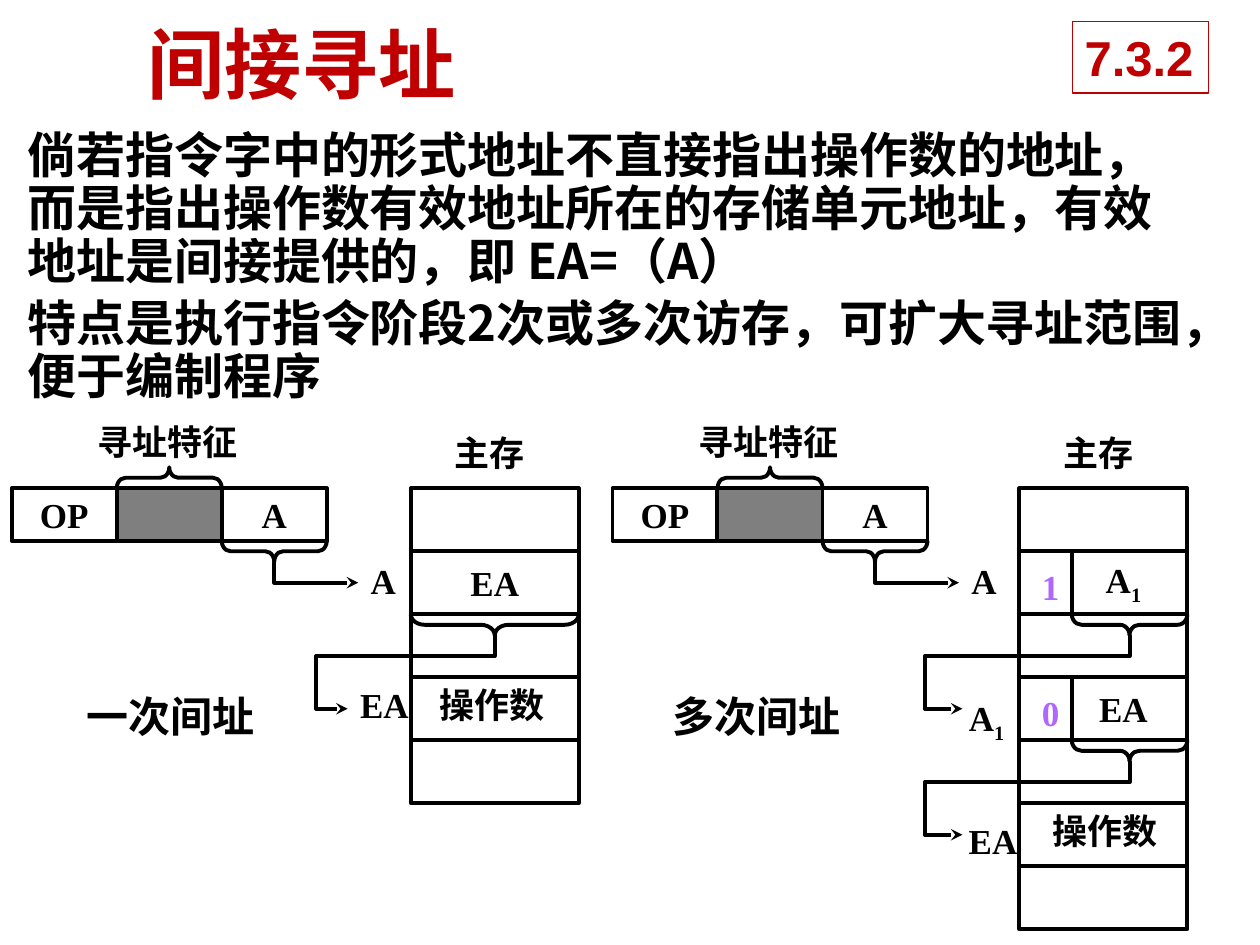
from lxml import etree
from pptx import Presentation
from pptx import util as u
from pptx.dml.color import RGBColor
from pptx.enum import shapes, text
from pptx.oxml.ns import qn

COLOURS = {"ink": "000000", "red": "C00000", "violet": "AF67FF", "white": "FFFFFF"}
SERIF, SANS, HAN = "Times New Roman", "Arial", "Noto Sans CJK SC"
TOP, FIELD_W, FIELD_H = 279, 60, 30      # instruction word
CELL_W, CELL_H, SPLIT = 96, 36, 30       # main memory
BRACE = 12


def colour(name):
    return RGBColor.from_string(COLOURS[name])


class Sketch:
    """Holds the style and the current slide; all lengths are points."""
    style = {"size": 20, "name": SERIF, "bold": True}

    def __init__(self, slide):
        self.shapes = slide.shapes

    def outline(self, shape, ink="ink", width=2.25):
        shape.line.color.rgb = colour(ink)
        shape.line.width = u.Pt(width)

    def fill_text(self, shape, lines, ink="ink", frame=None, para=None, **font):
        box = shape.text_frame
        for key, value in ({"word_wrap": False} | (frame or {})).items():
            setattr(box, key, value)
        look = self.style | font
        look["size"] = u.Pt(look["size"])
        for index, line in enumerate(lines):
            paragraph = box.add_paragraph() if index else box.paragraphs[0]
            for key, value in (para or {}).items():
                setattr(paragraph, key, value)
            # An underscore separates a base from its subscript
            for level, part in enumerate(line.split("_")):
                span = paragraph.add_run()
                span.text = part
                for key, value in look.items():
                    setattr(span.font, key, value)
                span.font.color.rgb = colour(ink)
                props = span._r.get_or_add_rPr()
                etree.SubElement(props, qn("a:ea"), typeface=HAN)
                if level:
                    props.set("baseline", "-25000")

    def label(self, x, y, w, line, size=20, ink="ink"):
        self.text(x, y, w, size * 1.2 + 7, [line], size=size, ink=ink)

    def text(self, x, y, w, h, lines, **options):
        box = self.shapes.add_textbox(*map(u.Pt, (x, y, w, h)))
        self.fill_text(box, lines, **options)

    def preset(self, kind, x, y, w, h, **line):
        shape = self.shapes.add_shape(kind, *map(u.Pt, (x, y, w, h)))
        shape.shadow.inherit = False
        shape.fill.background()
        self.outline(shape, **line)
        return shape

    def cell(self, x, y, w, h, line="", indent=7.2):
        shape = self.preset(shapes.MSO_SHAPE.RECTANGLE, x, y, w, h)
        if line:
            self.fill_text(shape, [line], para={"alignment": text.PP_ALIGN.CENTER},
                           frame={"vertical_anchor": text.MSO_ANCHOR.MIDDLE,
                                  "margin_left": u.Pt(indent), "word_wrap": True})
        return shape

    def brace(self, x, y, span, angle, curve=5):
        """Brace lying over a span; x and y are its top left as seen."""
        shape = self.preset(shapes.MSO_SHAPE.LEFT_BRACE, x + (span - BRACE) / 2,
                            y + (BRACE - span) / 2, BRACE, span)
        shape.rotation = angle
        shape.adjustments[0] = curve / BRACE

    def arrow(self, *points):
        first, *rest = [(u.Pt(x), u.Pt(y)) for x, y in points]
        builder = self.shapes.build_freeform(*first)
        builder.add_line_segments(rest, close=False)
        shape = builder.convert_to_shape()
        shape.shadow.inherit = False
        shape.fill.background()
        self.outline(shape)
        line = shape._element.spPr.find(qn("a:ln"))
        etree.SubElement(line, qn("a:tailEnd"), type="stealth")

    def divider(self, x, y, length):
        line = self.shapes.add_connector(shapes.MSO_CONNECTOR.STRAIGHT,
                                         *map(u.Pt, (x, y, x, y + length)))
        self.outline(line)
        etree.SubElement(line._element.spPr, qn("a:effectLst"))

    def instruction(self, x):
        for index, name in enumerate(("OP", "", "A")):
            field = self.cell(x + index * FIELD_W, TOP, FIELD_W, FIELD_H, name)
            if not name:  # half-transparent addressing-mode field
                field.fill.solid()
                field.fill.fore_color.rgb = colour("ink")
                tone = field._element.spPr.find(".//" + qn("a:srgbClr"))
                etree.SubElement(tone, qn("a:alpha"), val="50000")
        self.label(x + 42, 237, 95, "寻址特征")
        self.brace(x + FIELD_W, TOP - BRACE, FIELD_W, 90)
        bottom = TOP + FIELD_H
        self.brace(x + 2 * FIELD_W, bottom, FIELD_W, 270)
        middle, tip = x + 2.5 * FIELD_W, bottom + BRACE
        self.arrow((middle, tip), (middle, tip + 12), (x + 198, tip + 12))
        self.label(x + 198, 316, 29, "A")

    def memory(self, x, rows, indent=7.2):
        self.label(x + 18, 243, 55, "主存")
        for index, name in enumerate(rows):
            self.cell(x, TOP + index * CELL_H, CELL_W, CELL_H, name, indent)

    def indirection(self, x, row, offset, curve, turn, end):
        """Brace under a memory row and the arrow to the row it points at."""
        y = TOP + (row + 1) * CELL_H
        span = CELL_W - offset
        self.brace(x + offset, y, span, 270, curve)
        middle = x + offset + span / 2
        self.arrow((middle, y + 12), (middle, y + 24), (turn, y + 24),
                   (turn, y + 54), (end, y + 54))


def main():
    deck = Presentation()
    deck.slide_width, deck.slide_height = u.Pt(720), u.Pt(540)
    page = Sketch(deck.slides.add_slide(deck.slide_layouts[6]))

    # Heading, section number and explanation
    page.text(77, 6, 606, 60, ["间接寻址"], size=44, name=HAN, ink="red",
              frame={"vertical_anchor": text.MSO_ANCHOR.MIDDLE, "word_wrap": True})
    badge = page.preset(shapes.MSO_SHAPE.RECTANGLE, 612.7, 12.2, 77.8, 41,
                        ink="red", width=0.75)
    badge.fill.solid()
    badge.fill.fore_color.rgb = colour("white")
    page.fill_text(badge, ["7.3.2"], ink="red", size=28, name=SANS,
                   para={"alignment": text.PP_ALIGN.LEFT})
    page.text(8.6, 71.3, 680.4, 164, [
        "倘若指令字中的形式地址不直接指出操作数的地址，而是指出操作数有效地址"
        "所在的存储单元地址，有效地址是间接提供的，即 EA=（A）",
        "特点是执行指令阶段2次或多次访存，可扩大寻址范围，便于编制程序",
    ], size=28, name=HAN, frame={"word_wrap": True},
        para={"line_spacing": 0.9, "space_before": u.Pt(5.6)})

    # Single indirection
    left = 234.7
    page.instruction(6.7)
    page.memory(left, ["", "EA", "", "", ""])
    page.indirection(left, 1, 0, 8, turn=180.7, end=198.7)
    page.label(198.7, 387, 42, "EA")
    page.label(left + 9.4, 387, 75, "操作数")
    page.label(42.5, 391, 111, "一次间址", size=24)

    # Multiple indirection
    left = 582.5
    page.instruction(350)
    page.memory(left, ["", "A_1", "", "EA", "", "", ""], indent=SPLIT)
    for row, flag, target, y in ((1, "1", "A_1", 394.6), (3, "0", "EA", 465)):
        top = TOP + row * CELL_H
        page.divider(left + SPLIT, top, CELL_H)
        page.label(left + 5.8, top + 4.7, 24.5, flag, ink="violet")
        page.indirection(left, row, SPLIT, 5.5, turn=528.5, end=550)
        page.label(546.5, y, 42 if target == "EA" else 35, target)
    page.label(left + 12, 459, 75, "操作数")
    page.label(377.3, 391, 111, "多次间址", size=24)

    deck.save("out.pptx")


if __name__ == "__main__":
    main()
